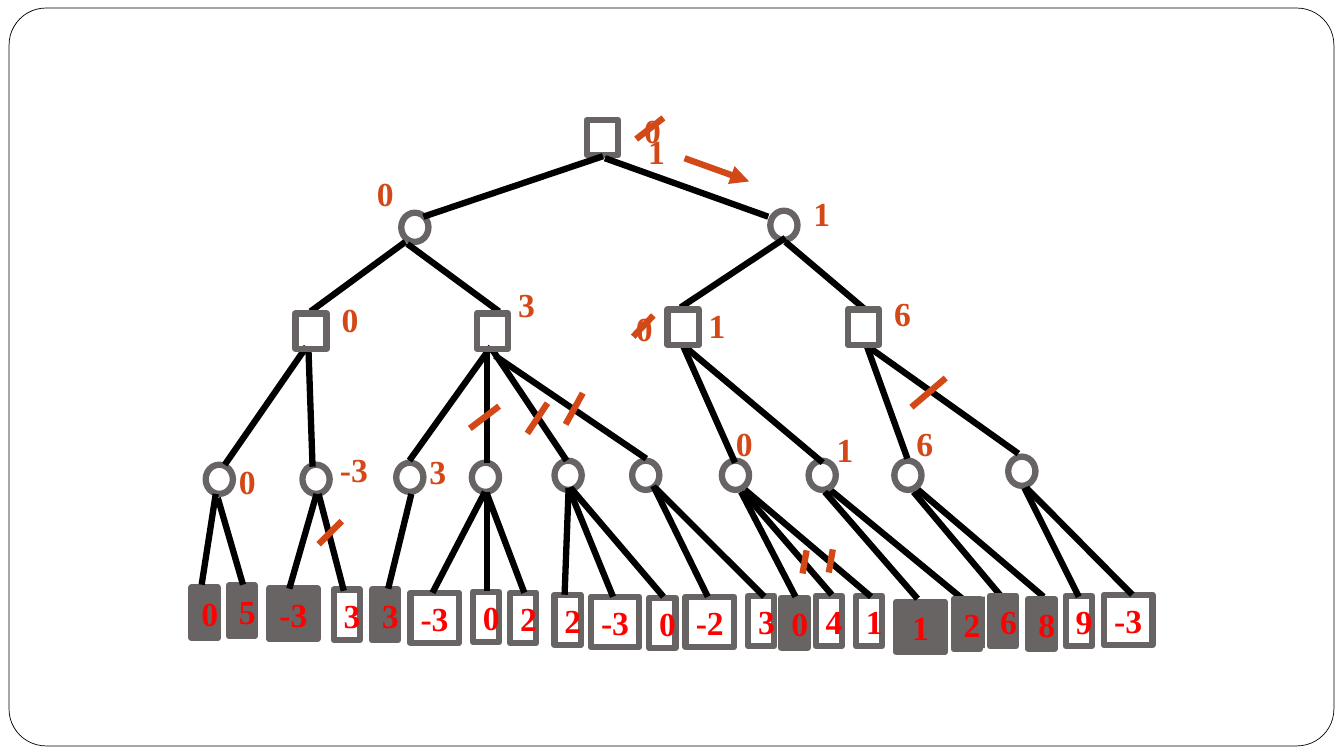
import pptx
import pptx.dml.color
import pptx.enum.shapes
import pptx.enum.text
import pptx.oxml
import pptx.oxml.ns
import pptx.util

CM_PER_INCH = 2.54
GREY, RED, ORANGE, BLACK, WHITE = "696464", "FF0000", "D34817", "000000", "FFFFFF"
NARROW, WIDE = 0.26, 0.48
SHAPES = pptx.enum.shapes.MSO_SHAPE


def color(value):
    return pptx.dml.color.RGBColor.from_string(value)


def lengths(*inches):
    return [pptx.util.Cm(value * CM_PER_INCH) for value in inches]


class TreeSlide:
    font_name = "Times New Roman"
    font_size = 24
    stroke = 4.5
    text_height = 0.5

    def __init__(self, presentation):
        self.slide = presentation.slides.add_slide(presentation.slide_layouts[6])

    def shape(self, kind, left, top, width, height, fill=None, line=None, weight=stroke):
        shape = self.slide.shapes.add_shape(kind, *lengths(left, top, width, height))
        shape.shadow.inherit = False
        if fill:
            shape.fill.solid()
            shape.fill.fore_color.rgb = color(fill)
        else:
            shape.fill.background()
        if line:
            shape.line.color.rgb = color(line)
            shape.line.width = pptx.util.Pt(weight)
        else:
            shape.line.fill.background()
        return shape

    def square(self, left, top):
        self.shape(SHAPES.RECTANGLE, left, top, 0.31, 0.35, line=GREY)

    def circle(self, left, top):
        self.shape(SHAPES.OVAL, left, top, 0.27, 0.29, line=GREY)

    def set_text(self, shape, text, font_color, wrap):
        frame = shape.text_frame
        frame.text = text
        frame.word_wrap = wrap
        frame.vertical_anchor = pptx.enum.text.MSO_ANCHOR.MIDDLE
        paragraph = frame.paragraphs[0]
        paragraph.alignment = pptx.enum.text.PP_ALIGN.CENTER
        font = paragraph.runs[0].font
        font.name = self.font_name
        font.size = pptx.util.Pt(self.font_size)
        font.bold = True
        font.color.rgb = color(font_color)

    def leaf(self, text, left, top, width=NARROW):
        shape = self.shape(SHAPES.RECTANGLE, left, top, width, self.text_height, line=GREY)
        self.set_text(shape, text, RED, True)

    def label(self, text, left, top):
        width = 0.36 if len(text) == 1 else WIDE
        box = self.slide.shapes.add_textbox(*lengths(left, top, width, self.text_height))
        self.set_text(box, text, ORANGE, False)

    def line(self, x1, y1, x2, y2, line_color=BLACK, arrow=False):
        straight = pptx.enum.shapes.MSO_CONNECTOR.STRAIGHT
        connector = self.slide.shapes.add_connector(straight, *lengths(x1, y1, x2, y2))
        connector.line.color.rgb = color(line_color)
        connector.line.width = pptx.util.Pt(self.stroke)
        namespace = pptx.oxml.ns.nsdecls("a")
        properties = connector._element.spPr
        if arrow:
            head = pptx.oxml.parse_xml(f'<a:tailEnd {namespace} type="triangle"/>')
            properties.find(pptx.oxml.ns.qn("a:ln")).append(head)
        properties.append(pptx.oxml.parse_xml(f"<a:effectLst {namespace}/>"))


BACK_EDGES = [(9.06, 4.88, 9.95, 5.94), (9.06, 4.82, 10.35, 5.92), (8.21, 4.84, 9.57, 5.96)]

VISITED_PANELS = [
    (9.46, 5.92, 0.31, 0.51), (9.8, 5.9, 0.29, 0.52), (8.91, 5.98, 0.46, 0.47),
    (3.68, 5.86, 0.29, 0.47), (2.29, 5.78, 0.24, 0.53), (1.87, 5.82, 0.31, 0.51),
    (2.66, 5.84, 0.46, 0.49),
]
OUTLINED_PANELS = [(10.25, 5.98, 0.2, 0.41), (7.76, 5.97, 0.23, 0.41)]

LEAVES = [
    ("0", 1.9, 5.83), ("5", 2.27, 5.81), ("-3", 2.67, 5.84, WIDE), ("3", 3.31, 5.85),
    ("3", 3.69, 5.85), ("-3", 4.07, 5.88, WIDE), ("0", 4.69, 5.87), ("2", 5.06, 5.88),
    ("2", 5.5, 5.9), ("-3", 5.86, 5.92, WIDE), ("0", 6.44, 5.93), ("-2", 6.8, 5.92, WIDE),
    ("3", 7.42, 5.91), ("0", 7.75, 5.93), ("4", 8.09, 5.91), ("1", 8.49, 5.91),
    ("1", 8.89, 5.97, WIDE), ("2", 9.46, 5.94), ("6", 9.82, 5.91), ("8", 10.2, 5.94),
    ("9", 10.57, 5.91), ("-3", 10.95, 5.9, WIDE),
]

CIRCLES = [
    (3.98, 2.11), (7.64, 2.09), (2.04, 4.61), (3, 4.61), (3.93, 4.59), (4.68, 4.59),
    (5.5, 4.57), (6.27, 4.57), (7.16, 4.57), (8.02, 4.57), (8.87, 4.57), (10, 4.53),
]
ROOT = (5.82, 1.19)
SQUARES = [(2.93, 3.11), (4.73, 3.11), (6.62, 3.07), (8.41, 3.07)]

EDGES = [
    (5.98, 1.55, 4.2, 2.15), (6, 1.57, 7.62, 2.15),
    (4.02, 2.4, 3.08, 3.09), (4.04, 2.42, 4.95, 3.09),
    (7.79, 2.36, 6.75, 3.05), (7.79, 2.4, 8.58, 3.07),
    (3.04, 3.44, 2.23, 4.61), (3.06, 3.48, 3.1, 4.63),
    (4.87, 3.44, 4.06, 4.57), (4.83, 3.48, 4.83, 4.59),
    (4.89, 3.48, 5.62, 4.57), (4.91, 3.53, 6.41, 4.55),
    (6.77, 3.42, 7.29, 4.59), (6.77, 3.42, 8.16, 4.59),
    (8.6, 3.44, 9, 4.55), (8.64, 3.46, 10.1, 4.5),
    (2.14, 4.9, 2, 5.8), (2.16, 4.94, 2.41, 5.8),
    (3.14, 4.9, 2.87, 5.84), (3.16, 4.9, 3.41, 5.86),
    (4.08, 4.9, 3.85, 5.84), (4.81, 4.88, 4.29, 5.88),
    (4.83, 4.88, 4.83, 5.86), (4.83, 4.9, 5.2, 5.88),
    (5.64, 4.84, 5.6, 5.9), (5.64, 4.84, 6.08, 5.92), (5.66, 4.84, 6.58, 5.92),
    (6.48, 4.82, 7.02, 5.92), (6.5, 4.84, 7.58, 5.92),
    (7.35, 4.88, 7.89, 5.92), (7.37, 4.88, 8.25, 5.9), (7.39, 4.86, 8.64, 5.92),
    (8.18, 4.88, 9.1, 5.94), (10.16, 4.84, 10.7, 5.92), (10.18, 4.84, 11.23, 5.9),
]

LABELS = [
    ("0", 6.29, 1.04), ("1", 6.33, 1.25), ("0", 3.64, 1.67), ("1", 7.97, 1.86),
    ("0", 3.29, 2.92), ("3", 5.04, 2.77), ("0", 6.21, 3), ("1", 6.93, 2.98),
    ("6", 8.77, 2.86), ("0", 2.27, 4.52), ("-3", 3.27, 4.4), ("3", 4.16, 4.42),
    ("0", 7.2, 4.15), ("1", 8.2, 4.21), ("6", 8.99, 4.15),
]

CUTS = [
    (3.39, 5.17, 3.16, 5.4), (4.95, 4.03, 4.66, 4.25), (5.43, 4, 5.23, 4.3),
    (5.78, 3.9, 5.61, 4.21), (9.04, 4.04, 9.38, 3.75), (6.31, 1.38, 6.58, 1.17),
    (7.96, 5.69, 8, 5.46), (8.22, 5.68, 8.26, 5.45), (6.28, 3.34, 6.48, 3.13),
]
BEST_MOVE = (6.79, 1.57, 7.43, 1.8)


def main():
    presentation = pptx.Presentation()
    presentation.slide_width, presentation.slide_height = lengths(13.33, 7.5)
    tree = TreeSlide(presentation)
    frame = tree.shape(SHAPES.ROUNDED_RECTANGLE, 0.09, 0.08, 13.14, 7.32, WHITE, BLACK, 0.5)
    frame.adjustments[0] = 0.05
    for edge in BACK_EDGES:
        tree.line(*edge)
    for panel in VISITED_PANELS:
        tree.shape(SHAPES.RECTANGLE, *panel, fill=GREY)
    for panel in OUTLINED_PANELS:
        tree.shape(SHAPES.RECTANGLE, *panel, fill=GREY, line=GREY)
    for leaf in LEAVES:
        tree.leaf(*leaf)
    for circle in CIRCLES:
        tree.circle(*circle)
    tree.square(*ROOT)
    for edge in EDGES:
        tree.line(*edge)
    for label in LABELS:
        tree.label(*label)
    for cut in CUTS:
        tree.line(*cut, line_color=ORANGE)
    tree.line(*BEST_MOVE, line_color=ORANGE, arrow=True)
    for square in SQUARES:
        tree.square(*square)
    presentation.save("out.pptx")


if __name__ == "__main__":
    main()
